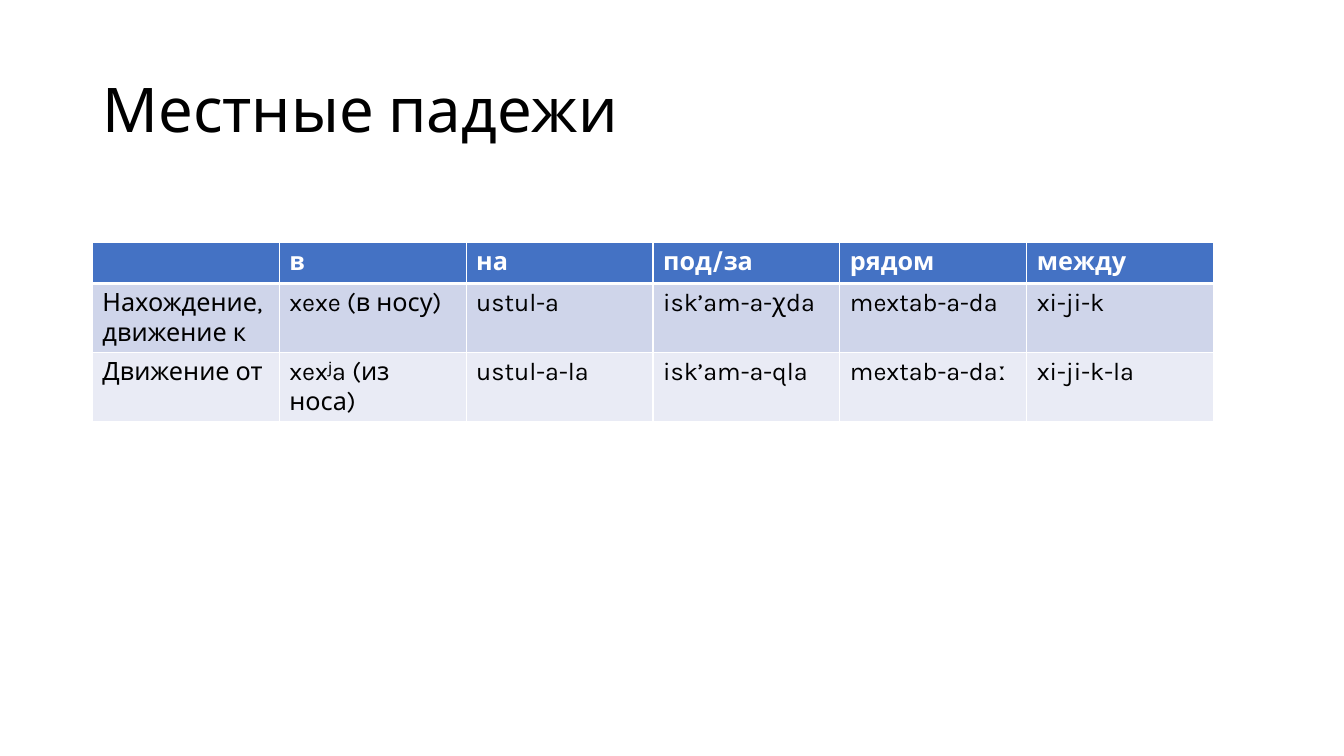
from lxml.etree import SubElement
from pptx import Presentation
from pptx.dml.color import RGBColor
from pptx.enum.text import MSO_ANCHOR, PP_ALIGN
from pptx.oxml.ns import qn
from pptx.util import Pt

TITLE = "Местные падежи"
CASES = [
    ["", "в", "на", "под/за", "рядом", "между"],
    ["Нахождение, движение к", "xexe (в носу)", "ustul-a", "isk’am-a-χda",
     "mextab-a-da", "xi-ji-k"],
    ["Движение от", "xexʲa (из носа)", "ustul-a-la", "isk’am-a-qla",
     "mextab-a-daː", "xi-ji-k-la"],
]
COLORS = {"text": "000000", "white": "FFFFFF", "header": "4472C4",
          "location": "CFD5EA", "source": "E9EBF5"}
ROW_FILLS = ["header", "location", "source"]
FONT = "Karla"

PX = 9525  # EMU per px, 96 px to the inch
LEFT, TABLE_TOP, COLUMN_WIDTH, ROW_HEIGHT = 88, 231, 178, 39


def px(length):
    return length * PX


def style(paragraph, size, color, bold=False):
    font = paragraph.font
    font.name, font.size, font.bold = FONT, Pt(size), bold
    font.color.rgb = RGBColor.from_string(COLORS[color])


def add_borders(cell, widths):
    properties = cell._tc.get_or_add_tcPr()
    for side, width in widths.items():
        line = SubElement(properties, qn(f"a:ln{side}"), w=str(Pt(width)))
        fill = SubElement(line, qn("a:solidFill"))
        SubElement(fill, qn("a:srgbClr"), val=COLORS["white"])


prs = Presentation()
prs.slide_width, prs.slide_height = px(1280), px(720)
slide = prs.slides.add_slide(prs.slide_layouts[5])

# Title
title = slide.shapes.title
title.left, title.top, title.width, title.height = px(LEFT), px(38), px(1104), px(139)
title.text_frame.text = TITLE
title.text_frame.vertical_anchor = MSO_ANCHOR.MIDDLE
heading = title.text_frame.paragraphs[0]
heading.alignment = PP_ALIGN.LEFT
heading.line_spacing = 0.9
style(heading, 44, "text")

# Table of local cases
rows, columns = len(CASES), len(CASES[0])
table = slide.shapes.add_table(
    rows, columns, px(LEFT), px(TABLE_TOP),
    px(COLUMN_WIDTH * columns), px(ROW_HEIGHT * rows)).table

for r, forms in enumerate(CASES):
    is_header = r == 0
    for c, form in enumerate(forms):
        cell = table.cell(r, c)
        cell.text = form
        style(cell.text_frame.paragraphs[0], 18,
              "white" if is_header else "text", is_header)
        add_borders(cell, {"L": 1, "R": 1, "T": 3 if r == 1 else 1,
                           "B": 3 if is_header else 1})
        cell.fill.solid()
        cell.fill.fore_color.rgb = RGBColor.from_string(COLORS[ROW_FILLS[r]])

prs.save("out.pptx")
